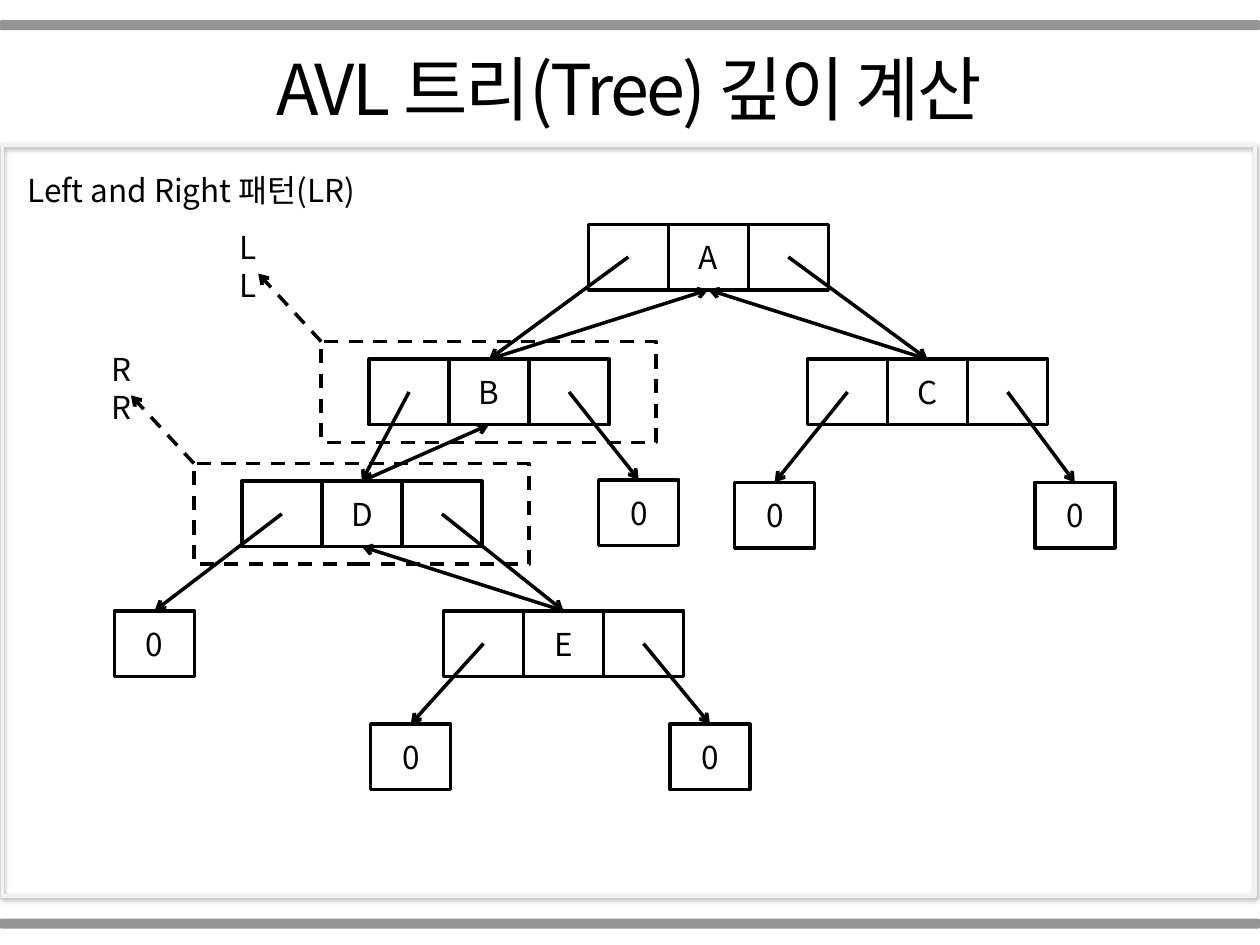
import pptx
import pptx.util
import pptx.dml.color
import pptx.enum.dml
import pptx.enum.shapes
import pptx.enum.text
import pptx.oxml
import pptx.oxml.ns

FONT = "Noto Sans CJK KR"
COLORS = {"ink": "000000", "paper": "FFFFFF", "bar": "808080", "frame": "F2F2F2"}
SLIDE_W, SLIDE_H = 10, 7.5
CELL_W, CELL_H = 0.635, 0.52  # one grid column and row of the tree

# Node: (label, column, row, left child, right child); "0" ends a branch
NODES = {
    "A": (5.92, 0, "B", "C"),
    "B": (3.18, 2.06, "D", "B right"),
    "C": (8.66, 2.06, "C left", "C right"),
    "D": (1.59, 3.92, "D left", "E"),
    "E": (4.11, 5.9, "E left", "E right"),
}
EMPTY_LINKS = {
    "B right": (6.05, 3.9), "C left": (7.75, 3.94), "C right": (11.5, 3.94),
    "D left": (0, 5.9), "E left": (3.2, 7.63), "E right": (6.94, 7.63),
}


def inches(*lengths):
    return [pptx.util.Inches(length) for length in lengths]


def rgb(name):
    return pptx.dml.color.RGBColor.from_string(COLORS[name])


def add_xml(parent, tag, attributes=""):
    element = pptx.oxml.parse_xml(
        f'<a:{tag} {pptx.oxml.ns.nsdecls("a")} {attributes}/>')
    parent.append(element)
    return element


def write(frame, text, size, centred=False, spacing=None):
    paragraph = frame.paragraphs[0]
    paragraph.text = text
    align = pptx.enum.text.PP_ALIGN
    paragraph.alignment = align.CENTER if centred else align.LEFT
    paragraph.font.size = pptx.util.Pt(size)
    paragraph.font.name = FONT
    paragraph.font.color.rgb = rgb("ink")
    defaults = paragraph._p.pPr.find(pptx.oxml.ns.qn("a:defRPr"))
    add_xml(defaults, "ea", f'typeface="{FONT}"')
    if spacing:
        defaults.set("spc", str(int(spacing * 100)))


def add_label(slide, box, text):
    label = slide.shapes.add_textbox(*inches(*box))
    label.text_frame.word_wrap = True
    write(label.text_frame, text, 18)


def add_box(slide, box, fill=None, line="ink", dashed=False, rounded=False):
    kind = pptx.enum.shapes.MSO_SHAPE
    shape = slide.shapes.add_shape(
        kind.ROUNDED_RECTANGLE if rounded else kind.RECTANGLE, *inches(*box))
    shape.shadow.inherit = False
    if fill:
        shape.fill.solid()
        shape.fill.fore_color.rgb = rgb(fill)
    else:
        shape.fill.background()
    if line:
        shape.line.color.rgb = rgb(line)
        shape.line.width = pptx.util.Pt(2)
    else:
        shape.line.fill.background()
    if dashed:
        shape.line.dash_style = pptx.enum.dml.MSO_LINE.DASH
    return shape


def add_arrow(slide, start, end, dashed=False):
    arrow = slide.shapes.add_connector(
        pptx.enum.shapes.MSO_CONNECTOR.STRAIGHT, *inches(*start, *end))
    arrow.line.color.rgb = rgb("ink")
    arrow.line.width = pptx.util.Pt(2)
    if dashed:
        arrow.line.dash_style = pptx.enum.dml.MSO_LINE.DASH
    add_xml(arrow.line._get_or_add_ln(), "tailEnd", 'type="arrow"')
    add_xml(arrow._element.spPr, "effectLst")


def add_cell(slide, left, top, text=""):
    cell = add_box(slide, (left, top, CELL_W, CELL_H), "paper")
    if text:
        cell.text_frame.vertical_anchor = pptx.enum.text.MSO_ANCHOR.MIDDLE
        write(cell.text_frame, text, 18, centred=True)


def draw_frame(slide, box):
    """Framed content panel with a soft shadow."""
    panel = add_box(slide, box, line="frame")
    effects = panel._element.spPr.find(pptx.oxml.ns.qn("a:effectLst"))
    shadow = add_xml(effects, "outerShdw",
                     'blurRad="39400" dist="20300" dir="5400000" rotWithShape="0"')
    tint = add_xml(shadow, "srgbClr", f'val="{COLORS["ink"]}"')
    add_xml(tint, "alpha", 'val="38000"')


def draw_bar(slide, box):
    """Translucent grey bar across the slide."""
    bar = add_box(slide, box, "bar", line=None, rounded=True)
    tint = bar._element.spPr.find(".//" + pptx.oxml.ns.qn("a:srgbClr"))
    add_xml(tint, "alpha", 'val="83000"')


def draw_title(slide, box, text):
    title = slide.shapes.title
    title.left, title.top, title.width, title.height = inches(*box)
    title.text_frame.auto_size = pptx.enum.text.MSO_AUTO_SIZE.NONE
    title.text_frame.vertical_anchor = pptx.enum.text.MSO_ANCHOR.MIDDLE
    write(title.text_frame, text, 40, centred=True, spacing=-1.5)


def draw_tree(slide, left, top):
    """Draw cells and links; return each node's top left corner."""
    places = {name: node[:2] for name, node in NODES.items()} | EMPTY_LINKS
    corners = {name: (left + col * CELL_W, top + row * CELL_H)
               for name, (col, row) in places.items()}

    def point(name, columns, rows):
        x, y = corners[name]
        return x + columns * CELL_W, y + rows * CELL_H

    # Nodes: left link, right link, then the key between them
    for name in NODES:
        for column, key in ((0, ""), (2, ""), (1, name)):
            add_cell(slide, *point(name, column, 0), key)
    for name in EMPTY_LINKS:
        add_cell(slide, *corners[name], "0")

    # Links down to the children and back up to the parents
    for name, (_, _, *children) in NODES.items():
        for child, column in zip(children, (0.5, 2.5)):
            child_top = point(child, 1.5 if child in NODES else 0.5, 0)
            add_arrow(slide, point(name, column, 0.5), child_top)
            if child in NODES:
                add_arrow(slide, child_top, point(name, 1.5, 1))
    return corners


def draw_pattern_mark(slide, corner, text, label_width):
    """Dashed outline round a node, with an arrow to its pattern name."""
    left, top = corner[0] - 0.38, corner[1] - 0.14
    add_box(slide, (left, top, 2.66, 0.8), dashed=True)
    add_arrow(slide, (left, top), (left - 0.5, top - 0.54), dashed=True)
    add_label(slide, (left - 0.75, top - 0.95, label_width, 0.4), text)


def main():
    deck = pptx.Presentation()
    deck.slide_width, deck.slide_height = inches(SLIDE_W, SLIDE_H)
    slide = deck.slides.add_slide(deck.slide_layouts[5])

    # Frame, bars and headings
    draw_frame(slide, (0.02, 1.15, 9.94, 5.96))
    for top in (0.16, 7.29):
        draw_bar(slide, (0, top, SLIDE_W, 0.08))
    draw_title(slide, (0.02, 0.31, 9.94, 0.77), "AVL 트리(Tree) 깊이 계산")
    add_label(slide, (0.12, 1.31, 9.88, 0.4), "Left and Right 패턴(LR)")

    # Tree and its rotation marks
    corners = draw_tree(slide, 0.91, 1.78)
    draw_pattern_mark(slide, corners["D"], "RR", 0.51)
    draw_pattern_mark(slide, corners["B"], "LL", 0.44)

    deck.save("out.pptx")


if __name__ == "__main__":
    main()
